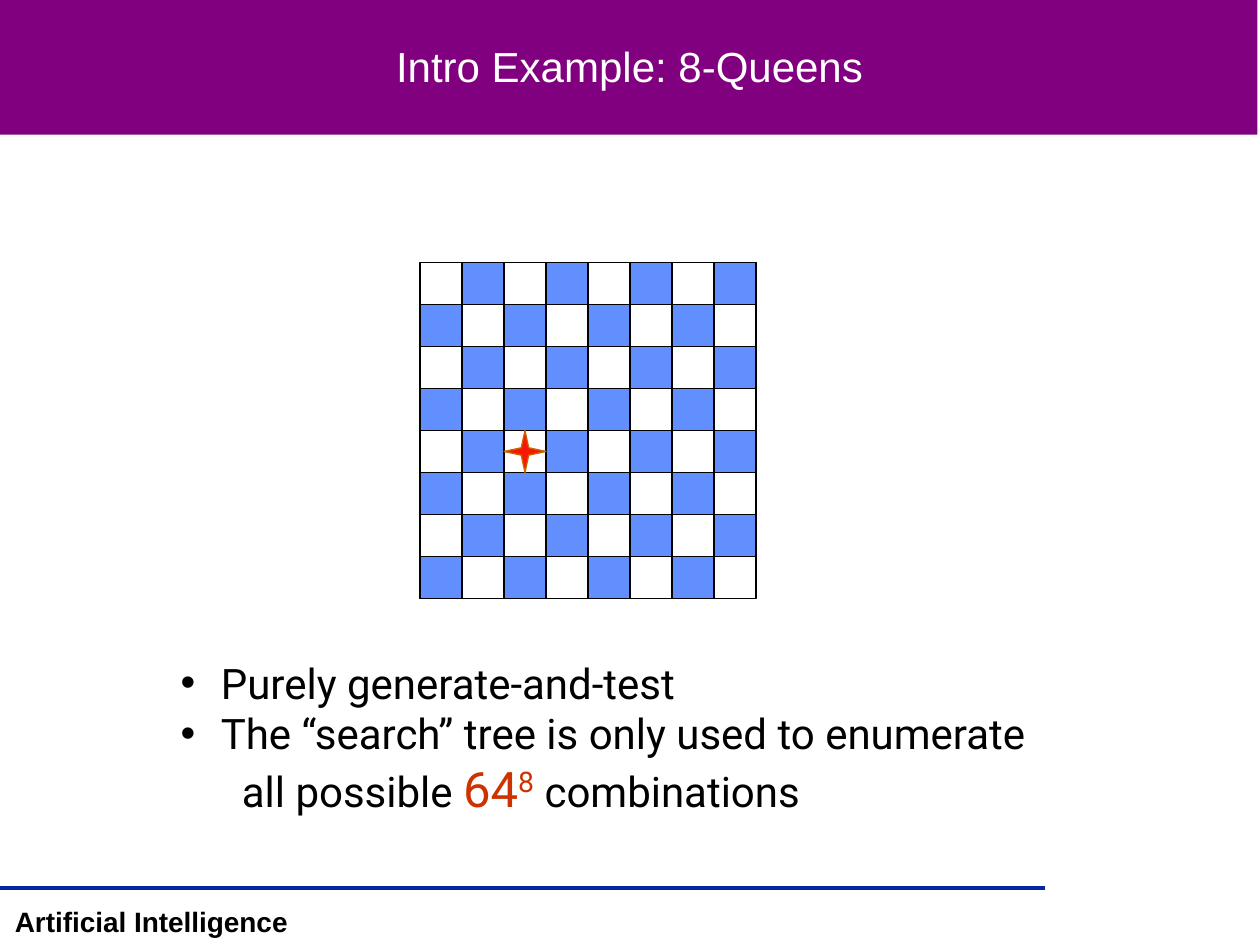
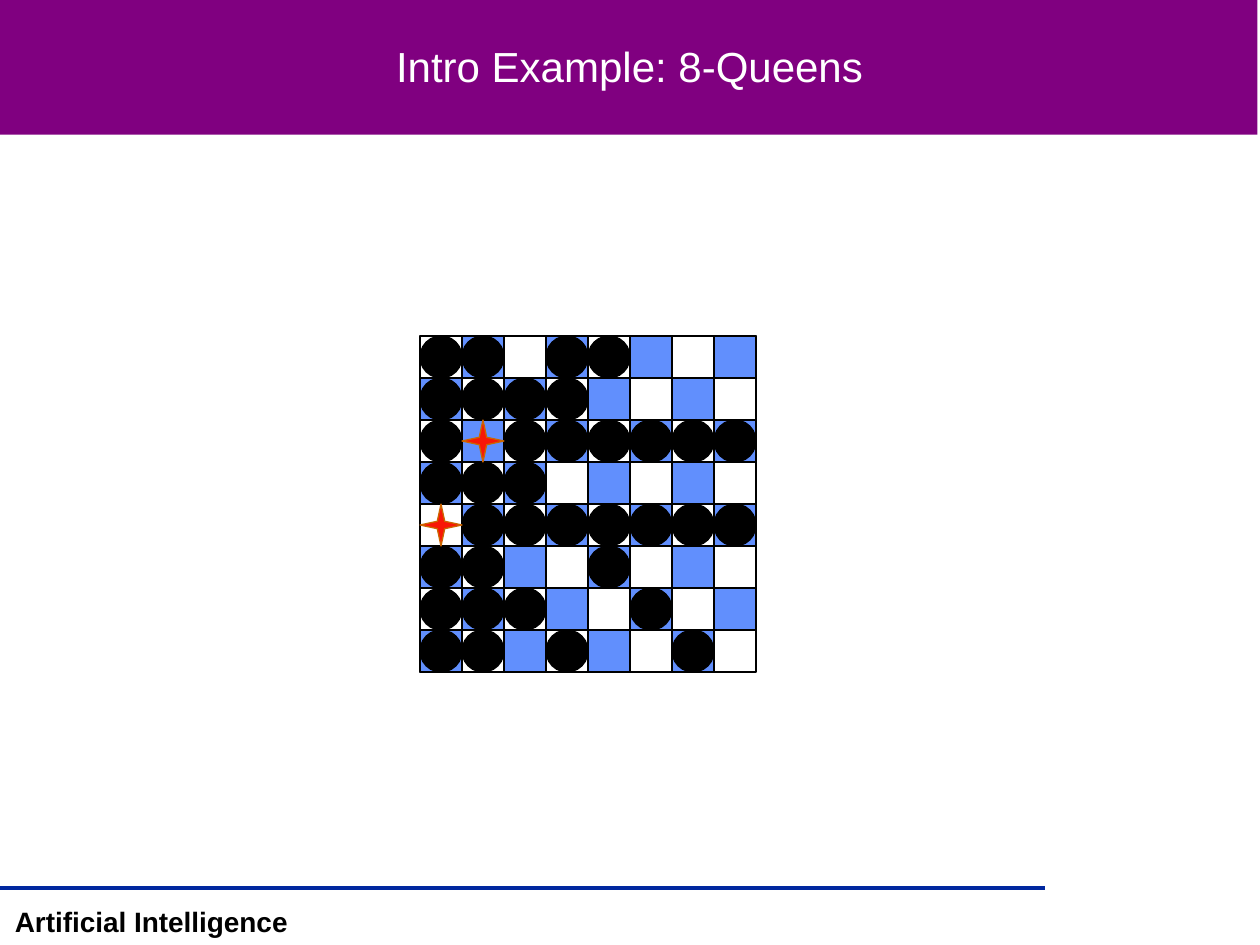
from dataclasses import dataclass
from itertools import product

from lxml.etree import SubElement
from pptx import Presentation
from pptx.dml.color import RGBColor
from pptx.enum.shapes import MSO_CONNECTOR, MSO_SHAPE
from pptx.enum.text import MSO_ANCHOR, MSO_AUTO_SIZE, PP_ALIGN
from pptx.oxml.ns import qn
from pptx.util import Pt


@dataclass(frozen=True)
class Theme:
    band: RGBColor = RGBColor(0x80, 0x00, 0x80)
    rule: RGBColor = RGBColor(0x00, 0x27, 0x9F)
    white: RGBColor = RGBColor(0xFF, 0xFF, 0xFF)
    black: RGBColor = RGBColor(0x00, 0x00, 0x00)
    square: RGBColor = RGBColor(0x61, 0x8F, 0xFD)
    queen: RGBColor = RGBColor(0xF8, 0x17, 0x06)
    queen_edge: RGBColor = RGBColor(0xCC, 0x66, 0x00)
    accent: RGBColor = RGBColor(0xCC, 0x33, 0x00)
    heading_font: str = "Arial"
    body_font: str = "Roboto"
    text_size: Pt = Pt(24)
    accent_size: Pt = Pt(28)
    footer_size: Pt = Pt(16)
    outline: Pt = Pt(0.75)


theme = Theme()
BOARD_LEFT = 240
SQUARE = 24
ROWS = COLUMNS = 8


def add_figure(shapes, kind, left, top, width, height, fill=None, line=None):
    figure = shapes.add_shape(kind, Pt(left), Pt(top), Pt(width), Pt(height))
    figure.shadow.inherit = False
    if fill is None:
        figure.fill.background()
    else:
        figure.fill.solid()
        figure.fill.fore_color.rgb = fill
    if line is None:
        figure.line.fill.background()
    else:
        figure.line.color.rgb = line
        figure.line.width = theme.outline
    return figure


def style_font(font, name, size, color, bold=False):
    font.name = name
    font.size = size
    font.color.rgb = color
    font.bold = bold


deck = Presentation()
deck.slide_width, deck.slide_height = Pt(720), Pt(540)
layout = deck.slide_layouts[1]
pages = [deck.slides.add_slide(layout) for _ in range(2)]

for holder in list(layout.placeholders)[2:]:
    layout.shapes.element.remove(holder.element)
title_holder = layout.placeholders[0]
title_holder.left, title_holder.top = Pt(1.5), Pt(0.75)
title_holder.width, title_holder.height = Pt(716.5), Pt(73.5)

shapes = pages[0].shapes
band = add_figure(shapes, MSO_SHAPE.RECTANGLE, 0, 0, 718.5, 77, theme.band)

rule = shapes.add_connector(MSO_CONNECTOR.STRAIGHT, Pt(0), Pt(507.5), Pt(597), Pt(507.5))
rule.line.color.rgb = theme.rule
rule.line.width = Pt(2)
SubElement(rule.element.spPr, qn("a:effectLst"))

footer = shapes.add_textbox(Pt(0), Pt(513.5), Pt(173), Pt(26.5))
footer.text_frame.word_wrap = False
para = footer.text_frame.paragraphs[0]
para.text = "Artificial Intelligence"
para.alignment = PP_ALIGN.CENTER
style_font(para.font, theme.heading_font, theme.footer_size, theme.black, True)

for shared in (band, rule, footer):
    layout.shapes.element.append(shared.element)

boards = [
    (150, [(4, 2)], False),
    (192, [(4, 0), (2, 1)], True),
]
for page, (board_top, queens, show_attacks) in zip(pages, boards):
    title = page.shapes.title.text_frame
    title.vertical_anchor = MSO_ANCHOR.MIDDLE
    title.auto_size = MSO_AUTO_SIZE.NONE
    para = title.paragraphs[0]
    para.text = "Intro Example: 8-Queens"
    para.alignment = PP_ALIGN.CENTER
    style_font(para.font, theme.heading_font, theme.text_size, theme.white)

    board = page.shapes.add_group_shape()
    add_figure(board.shapes, MSO_SHAPE.RECTANGLE, BOARD_LEFT, board_top,
               COLUMNS * SQUARE, ROWS * SQUARE, line=theme.black)
    attacks = page.shapes.add_group_shape() if show_attacks else None
    for row, column in product(range(ROWS), range(COLUMNS)):
        cell = (BOARD_LEFT + column * SQUARE, board_top + row * SQUARE, SQUARE, SQUARE)
        if (row + column) % 2:
            add_figure(board.shapes, MSO_SHAPE.RECTANGLE, *cell, theme.square, theme.black)
        attacked = any(
            row == queen_row or column == queen_column
            or abs(row - queen_row) == abs(column - queen_column)
            for queen_row, queen_column in queens
        )
        if (row, column) in queens:
            star = add_figure(page.shapes, MSO_SHAPE.STAR_4_POINT, *cell,
                              theme.queen, theme.queen_edge)
            star.adjustments[0] = 0.125
        elif show_attacks and attacked:
            add_figure(attacks.shapes, MSO_SHAPE.OVAL, *cell, theme.black, theme.black)

unused = pages[1].placeholders[1]
pages[1].shapes.element.remove(unused.element)

body = pages[0].placeholders[1]
body.left, body.top, body.width, body.height = Pt(96), Pt(372), Pt(508), Pt(98.5)
frame = body.text_frame
frame.word_wrap = True
frame.auto_size = MSO_AUTO_SIZE.NONE
frame.vertical_anchor = MSO_ANCHOR.TOP
lines = [
    (["Purely generate-and-test"], 23, -23),
    (["The “search” tree is only used to enumerate"], 23, -23),
    (["all possible ", "64", "8", " combinations"], 35, 0),
]
for index, (parts, margin, indent) in enumerate(lines):
    para = frame.add_paragraph() if index else frame.paragraphs[0]
    para.space_before = Pt(0)
    style_font(para.font, theme.body_font, theme.text_size, theme.black)
    properties = para._p.get_or_add_pPr()
    properties.set("marL", str(Pt(margin)))
    properties.set("indent", str(Pt(indent)))
    if not indent:
        properties.insert_element_before(
            properties.makeelement(qn("a:buNone")), "a:tabLst", "a:defRPr", "a:extLst")
    for part in parts:
        span = para.add_run()
        span.text = part
        if part.isdigit():
            style_font(span.font, theme.body_font, theme.accent_size, theme.accent)
        if part == "8":
            span._r.get_or_add_rPr().set("baseline", "30000")

deck.save("out.pptx")
